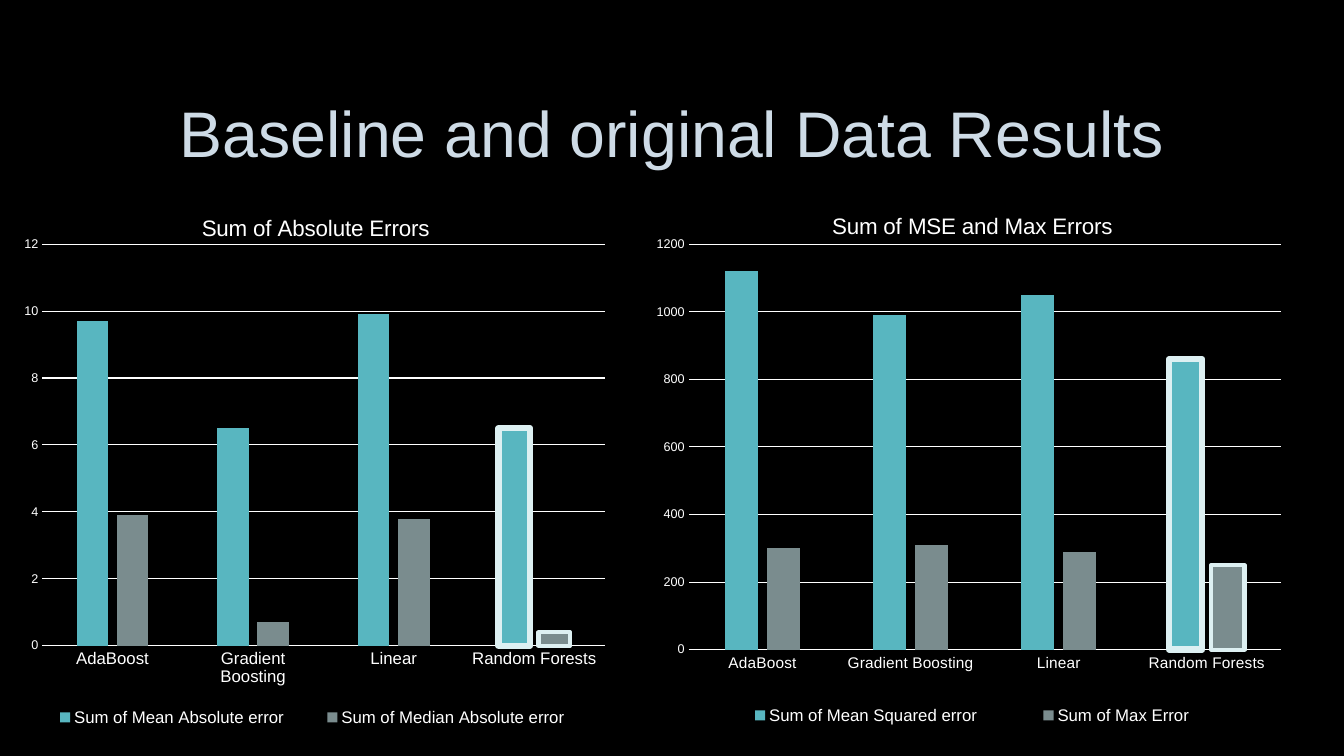
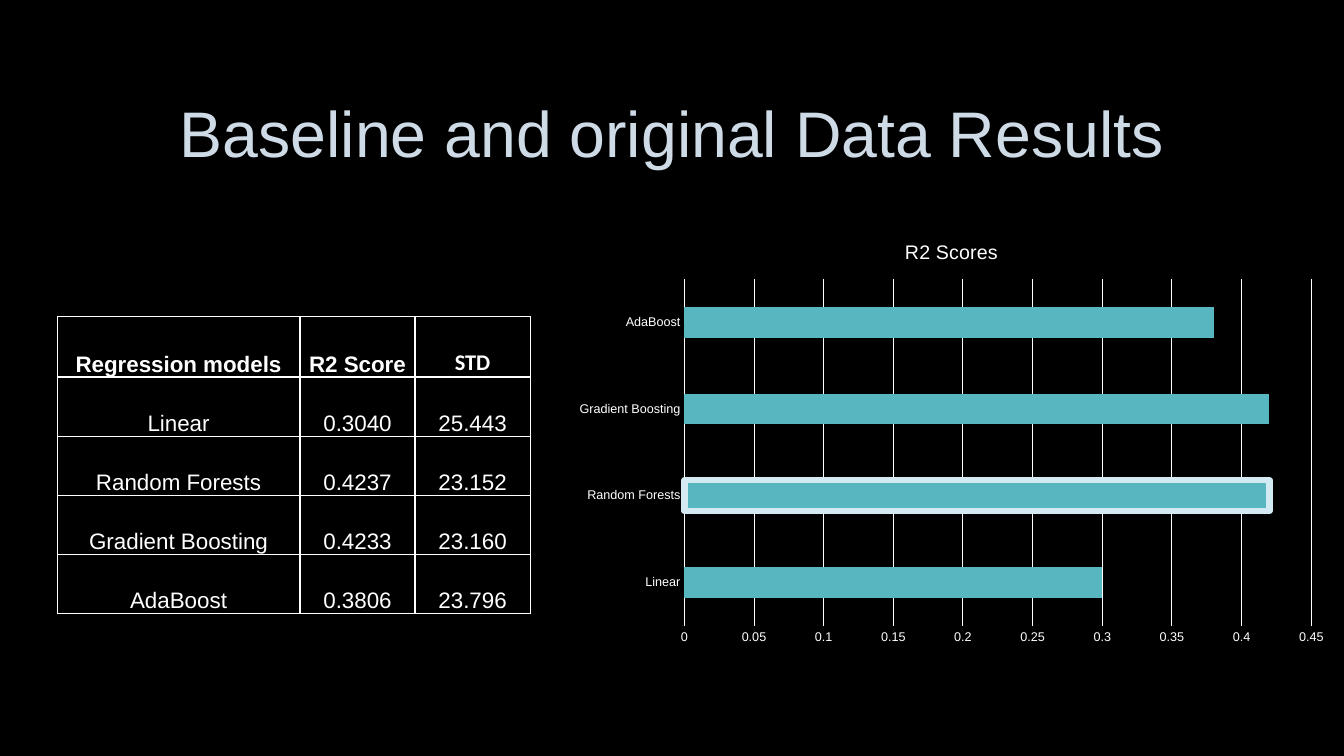
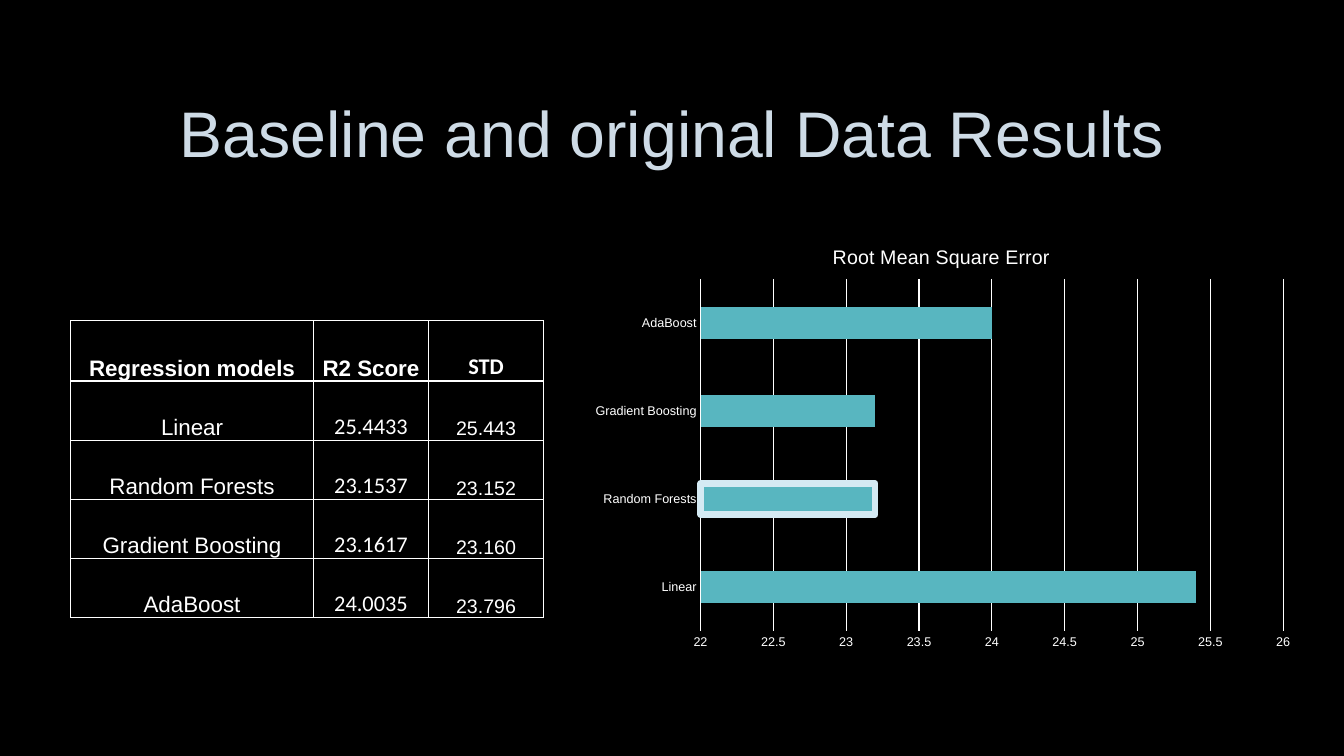
from lxml.etree import SubElement
from pptx import Presentation
from pptx.chart.data import CategoryChartData
from pptx.dml.color import RGBColor
from pptx.enum.chart import XL_CHART_TYPE, XL_LEGEND_POSITION, XL_TICK_MARK
from pptx.enum.text import MSO_ANCHOR, PP_ALIGN
from pptx.oxml import parse_xml
from pptx.oxml.ns import nsdecls, qn
from pptx.util import Cm, Pt

BLACK = RGBColor(0x00, 0x00, 0x00)
WHITE = RGBColor(0xFF, 0xFF, 0xFF)
PALE = RGBColor(0xCE, 0xDB, 0xE6)
EDGE = RGBColor(0x40, 0x40, 0x40)
TEAL = RGBColor(0x58, 0xB6, 0xC0)
GREY = RGBColor(0x7A, 0x8C, 0x8E)
MINT = RGBColor(0xDD, 0xF0, 0xF2)
ICE = RGBColor(0xD4, 0xEA, 0xF3)

TITLE = "Baseline and original Data Results"
TITLE_BOX = (2.55, 1.7, 28.75, 3.51)
MODELS = ["AdaBoost", "Gradient Boosting", "Linear", "Random Forests"]
BEST = "Random Forests"
HEAD = ("Regression models", "R2 Score", "STD")
SCORES = [("Linear", "0.3040", "25.443"), ("Random Forests", "0.4237", "23.152"),
          ("Gradient Boosting", "0.4233", "23.160"), ("AdaBoost", "0.3806", "23.796")]
ERRORS = [("Linear", "25.4433", "25.443"), ("Random Forests", "23.1537", "23.152"),
          ("Gradient Boosting", "23.1617", "23.160"), ("AdaBoost", "24.0035", "23.796")]

BODY = {"name": "Arial", "size": Pt(16), "bold": False}
BOLD = {**BODY, "bold": True}
HEADS = [BOLD, BOLD, {**BOLD, "name": "Calibri"}]
MIXED = [BODY, {**BODY, "name": "Calibri"}, {**BODY, "size": Pt(14)}]
CELL = {"vertical_anchor": MSO_ANCHOR.BOTTOM, "margin_left": Cm(0.02),
        "margin_right": Cm(0.02), "margin_top": Cm(0.02), "margin_bottom": 0}
AXIS = {"major_tick_mark": XL_TICK_MARK.NONE, "minor_tick_mark": XL_TICK_MARK.NONE}


def put(item, values):
    for key, value in values.items():
        setattr(item, key, value)


def style(font, values, color=WHITE):
    put(font, values)
    font.color.rgb = color


def stroke(line, color, width):
    line.color.rgb = color
    line.width = Pt(width)


def box(values):
    return [Cm(value) for value in values]


# Slide with the shared title
def add_slide(deck):
    slide = deck.slides.add_slide(deck.slide_layouts[5])
    title = slide.shapes.title
    put(title, dict(zip(("left", "top", "width", "height"), box(TITLE_BOX))))
    title.text_frame.vertical_anchor = MSO_ANCHOR.MIDDLE
    para = title.text_frame.paragraphs[0]
    put(para, {"alignment": PP_ALIGN.CENTER, "line_spacing": 0.9})
    run = para.add_run()
    run.text = TITLE
    style(run.font, {"name": "Arial", "size": Pt(46)}, PALE)
    run.font._element.insert(0, parse_xml(
        f'<a:ln {nsdecls("a")} w="9525"><a:solidFill><a:srgbClr val="{EDGE}">'
        '<a:alpha val="10000"/></a:srgbClr></a:solidFill></a:ln>'))
    return slide


# Fixed place of a chart part, in fractions of the chart
def place(node, index, spots, inner=False):
    for old in node.findall(qn("c:layout")):
        node.remove(old)
    layout = parse_xml(f'<c:layout {nsdecls("c")}><c:manualLayout/></c:layout>')
    rules = [("layoutTarget", "inner")] if inner else []
    rules += [("xMode", "edge"), ("yMode", "edge"), *zip("xywh", spots)]
    for tag, value in rules:
        SubElement(layout[0], qn("c:" + tag)).set("val", str(value))
    node.insert(index, layout)


def add_chart(slide, kind, spot, title, models, series, scale, look):
    data = CategoryChartData()
    data.categories = models
    for name, values in series:
        data.add_series(name, values)
    chart = slide.shapes.add_chart(kind, *box(spot), data).chart
    style(chart.font, {"name": "Arial", "size": Pt(10)})

    # Title and plot
    chart.has_title = True
    chart.chart_title.include_in_layout = False
    para = chart.chart_title.text_frame.paragraphs[0]
    run = para.add_run()
    run.text = title
    style(run.font, {**BODY, "size": Pt(look["title"])})
    place(chart.chart_title._element, 1, look["head"])
    place(chart._chartSpace.chart.plotArea, 0, look["plot"], True)
    plot = chart.plots[0]
    put(plot, {"vary_by_categories": False, "gap_width": look["gap"],
               "overlap": look["overlap"]})

    # Axes
    for axis, size in ((chart.category_axis, look["cats"]), (chart.value_axis, 9)):
        put(axis, AXIS)
        style(axis.tick_labels.font, {"name": "Arial", "size": Pt(size)})
    stroke(chart.category_axis.format.line, WHITE, 0.75)
    axis = chart.value_axis
    put(axis, dict(zip(("minimum_scale", "maximum_scale", "major_unit"), scale)))
    axis.format.line.fill.background()
    axis.has_major_gridlines = True
    stroke(axis.major_gridlines.format.line, WHITE, 0.75)

    # Bars, with the best model outlined
    for bars, color, width in zip(plot.series, (TEAL, GREY), (4.5, 3)):
        point = bars.points[models.index(BEST)]
        for part in (bars, point):
            part.format.fill.solid()
            part.format.fill.fore_color.rgb = color
        stroke(point.format.line, look["glow"], width)

    # Legend
    chart.has_legend = "legend" in look
    if chart.has_legend:
        legend = chart.legend
        put(legend, {"position": XL_LEGEND_POSITION.BOTTOM, "include_in_layout": False})
        style(legend.font, {"name": "Arial", "size": Pt(12)})
        place(legend._element, 1, look["legend"])


def add_columns(slide, spot, title, series, scale, **look):
    look.update(title=16, gap=219, overlap=-27, glow=MINT)
    add_chart(slide, XL_CHART_TYPE.COLUMN_CLUSTERED, spot, title, MODELS,
              series, scale, look)


def add_bars(slide, spot, title, rows, digits, scale, **look):
    look.update(title=14, gap=182, overlap=0, glow=ICE, cats=9)
    series = [("Series 1", [round(float(row[1]), digits) for row in rows])]
    add_chart(slide, XL_CHART_TYPE.BAR_CLUSTERED, spot, title,
              [row[0] for row in rows], series, scale, look)


def fill_cell(cell, text, font):
    put(cell, CELL)
    para = cell.text_frame.paragraphs[0]
    para.alignment = PP_ALIGN.CENTER
    run = para.add_run()
    run.text = text
    style(run.font, font)
    props = cell._tc.get_or_add_tcPr()
    for side in "LRTB":
        props.append(parse_xml(
            f'<a:ln{side} {nsdecls("a")} w="12700"><a:solidFill>'
            f'<a:srgbClr val="{WHITE}"/></a:solidFill></a:ln{side}>'))
    cell.fill.solid()
    cell.fill.fore_color.rgb = BLACK


def add_table(slide, left, top, rows, fonts):
    lines = [HEAD, *rows]
    frame = slide.shapes.add_table(len(lines), 3, *box((left, top, 11.92, 7.48)))
    table = frame.table
    for column, width in zip(table.columns, (6.12, 2.9, 2.9)):
        column.width = Cm(width)
    for i, line in enumerate(lines):
        table.rows[i].height = Cm(1.49 if i else 1.52)
        for j, text in enumerate(line):
            fill_cell(table.cell(i, j), text, fonts[j] if i else HEADS[j])


def main():
    deck = Presentation()
    put(deck, {"slide_width": Cm(33.87), "slide_height": Cm(19.05)})
    back = deck.slide_master.background.fill
    back.solid()
    back.fore_color.rgb = BLACK

    # Error sums
    slide = add_slide(deck)
    add_columns(slide, (16.17, 4.86, 16.66, 13.82), "Sum of MSE and Max Errors",
                [("Sum of Mean Squared error", (1120, 990, 1050, 860)),
                 ("Sum of Max Error", (300, 310, 290, 250))],
                (0, 1200, 200), cats=11, head=(0.282, 0.028),
                plot=(0.071, 0.094, 0.896, 0.739), legend=(0.08, 0.928, 0.84, 0.05))
    add_columns(slide, (0.18, 4.9, 15.54, 13.77), "Sum of Absolute Errors",
                [("Sum of Mean Absolute error", (9.7, 6.5, 9.9, 6.5)),
                 ("Sum of Median Absolute error", (3.9, 0.7, 3.8, 0.4))],
                (0, 12, 2), cats=12, head=(0.309, 0.029),
                plot=(0.057, 0.091, 0.912, 0.735), legend=(0.025, 0.932, 0.94, 0.05))

    # R2 scores
    slide = add_slide(deck)
    add_bars(slide, (14.24, 5.59, 19.53, 10.87), "R2 Scores", SCORES, 2,
             (0, 0.45, 0.05), head=(0.434, 0.033), plot=(0.154, 0.132, 0.809, 0.805))
    add_table(slide, 1.44, 7.98, SCORES, [BODY] * 3)

    # Root mean square error
    slide = add_slide(deck)
    add_table(slide, 1.78, 8.08, ERRORS, MIXED)
    add_bars(slide, (14.56, 5.72, 18.31, 11), "Root Mean Square Error", ERRORS, 1,
             (22, 26, 0.5), head=(0.346, 0.031), plot=(0.169, 0.119, 0.802, 0.807))
    deck.save("out.pptx")


main()
